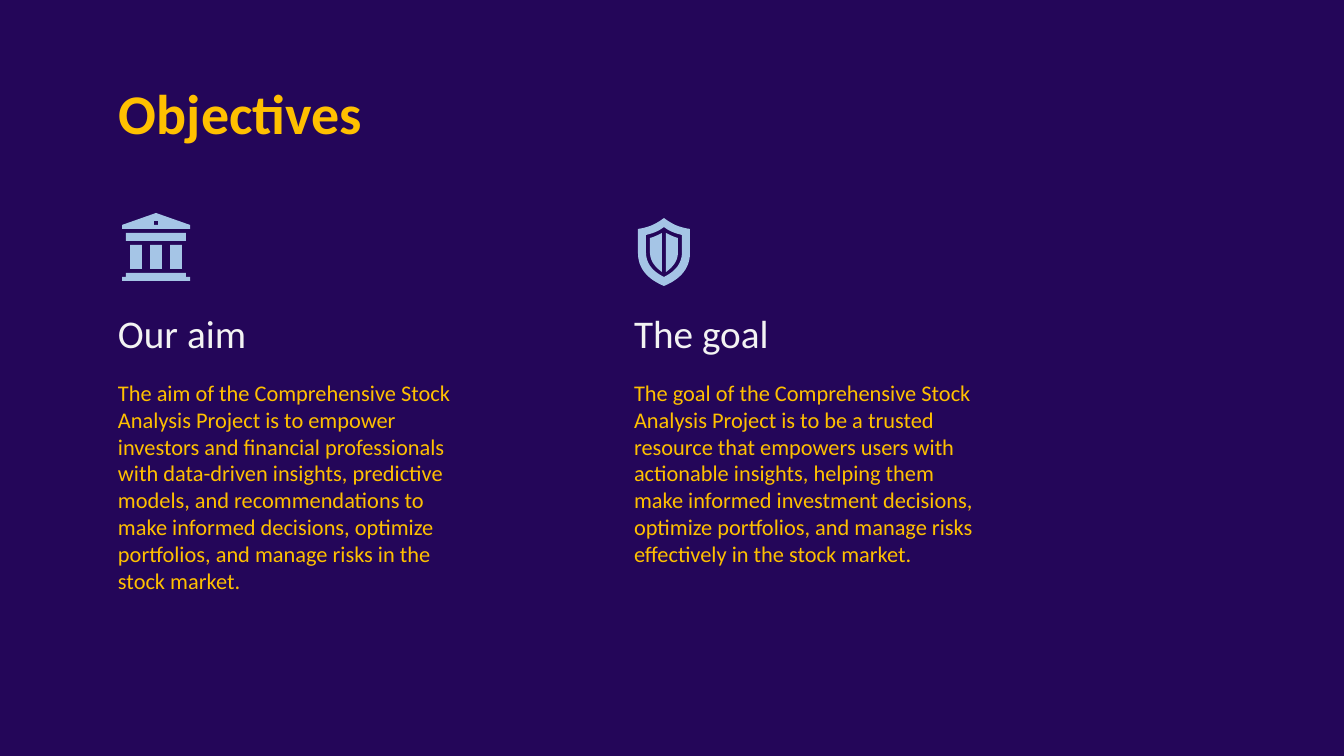
from dataclasses import dataclass

from pptx import Presentation
from pptx.dml.color import RGBColor
from pptx.enum.text import MSO_ANCHOR
from pptx.util import Pt

TOP, BOTTOM = MSO_ANCHOR.TOP, MSO_ANCHOR.BOTTOM
EMU_PER_PX = 914400 / 134.4
FONT = "Calibri"
INSET = 13
CURVE_STEPS = 12
COLORS = {"night": "240659", "gold": "FFC000", "white": "F3F3F3", "ice": "A5C5E6"}

Point = tuple[float, float]
Outline = list[Point]


@dataclass
class TextStyle:
    size: int
    color: str
    anchor: MSO_ANCHOR = TOP
    bold: bool = False


@dataclass
class Column:
    left: int
    heading: str
    body: str
    icon: list[Outline]


TITLE = TextStyle(30, "gold", bold=True)
HEADING = TextStyle(21, "white", BOTTOM)
BODY = TextStyle(12, "gold")


def emu(px: float) -> int:
    return round(px * EMU_PER_PX)


def color(name: str) -> RGBColor:
    return RGBColor.from_string(COLORS[name])


def add_text(page, text: str, area: tuple[int, int, int, int], style: TextStyle) -> None:
    box = page.shapes.add_textbox(*map(emu, area))
    frame = box.text_frame
    frame_format = {"word_wrap": True, "vertical_anchor": style.anchor}
    for side in ("left", "top", "right", "bottom"):
        frame_format[f"margin_{side}"] = emu(INSET)
    for name, value in frame_format.items():
        setattr(frame, name, value)
    span = frame.paragraphs[0].add_run()
    span.text = text
    for name, value in {"name": FONT, "size": Pt(style.size), "bold": style.bold}.items():
        setattr(span.font, name, value)
    span.font.color.rgb = color(style.color)


def add_icon(page, outlines: list[Outline]) -> None:
    """Draw all outlines as one shape; nested ones become holes."""
    first, *others = [[(emu(x), emu(y)) for x, y in outline] for outline in outlines]
    builder = page.shapes.build_freeform(*first[0])
    builder.add_line_segments(first[1:], close=True)
    for outline in others:
        builder.move_to(*outline[0])
        builder.add_line_segments(outline[1:], close=True)
    icon = builder.convert_to_shape()
    icon.shadow.inherit = False
    icon.fill.solid()
    icon.fill.fore_color.rgb = color("ice")
    icon.line.fill.background()


def rectangle(left: int, top: int, right: int, bottom: int) -> Outline:
    return [(left, top), (right, top), (right, bottom), (left, bottom)]


def curve(*controls: Point) -> Outline:
    """Points along a cubic Bezier curve."""
    points = []
    for step in range(CURVE_STEPS + 1):
        t = step / CURVE_STEPS
        weights = ((1 - t) ** 3, 3 * t * (1 - t) ** 2, 3 * t * t * (1 - t), t ** 3)
        points.append(tuple(sum(w * p[axis] for w, p in zip(weights, controls))
                            for axis in (0, 1)))
    return points


def mirror(outline: Outline, axis: int) -> Outline:
    return [(2 * axis - x, y) for x, y in reversed(outline)]


def shield_icon(axis: int) -> list[Outline]:
    def right_half(*points: Point) -> Outline:
        placed = [(axis + x, y) for x, y in points]
        return curve(*placed[:4]) + curve(*placed[4:])

    rim = right_half((0, 218), (8, 224), (14, 227), (26, 229),
                     (26, 253), (26, 268), (17, 279), (0, 286))
    gap = right_half((0, 227), (5, 231), (10, 233), (18, 235),
                     (18, 252), (18, 263), (12, 271), (0, 277))
    panel = right_half((2, 233), (6, 235), (10, 237), (14, 238),
                       (14, 252), (14, 261), (9, 267), (2, 272))
    return [rim + mirror(rim, axis), gap + mirror(gap, axis), panel, mirror(panel, axis)]


def bank_icon() -> list[Outline]:
    roof = [(122, 225), (156, 213), (190, 225), (190, 229), (122, 229)]
    steps = [(126, 273), (186, 273), (186, 277), (190, 277),
             (190, 281), (122, 281), (122, 277), (126, 277)]
    window, beam = rectangle(154, 221, 158, 225), rectangle(126, 233, 186, 241)
    pillars = [rectangle(x, 245, x + 12, 269) for x in range(130, 171, 20)]
    return [roof, window, beam, *pillars, steps]


def main() -> None:
    deck = Presentation()
    deck.slide_width, deck.slide_height = emu(1344), emu(756)
    page = deck.slides.add_slide(deck.slide_layouts[6])
    page.background.fill.solid()
    page.background.fill.fore_color.rgb = color("night")

    # Title
    add_text(page, "Objectives", (106, 66, 1133, 85), TITLE)

    # Icon, heading and text of each column
    columns = [
        Column(105, "Our aim",
               "The aim of the Comprehensive Stock Analysis Project is to empower investors "
               "and financial professionals with data-driven insights, predictive models, "
               "and recommendations to make informed decisions, optimize portfolios, and "
               "manage risks in the stock market.", bank_icon()),
        Column(621, "The goal",
               "The goal of the Comprehensive Stock Analysis Project is to be a trusted "
               "resource that empowers users with actionable insights, helping them make "
               "informed investment decisions, optimize portfolios, and manage risks "
               "effectively in the stock market.", shield_icon(664)),
    ]
    for column in columns:
        add_icon(page, column.icon)
        add_text(page, column.heading, (column.left, 292, 368, 77), HEADING)
        add_text(page, column.body, (column.left, 366, 368, 231), BODY)

    deck.save("out.pptx")


if __name__ == "__main__":
    main()
